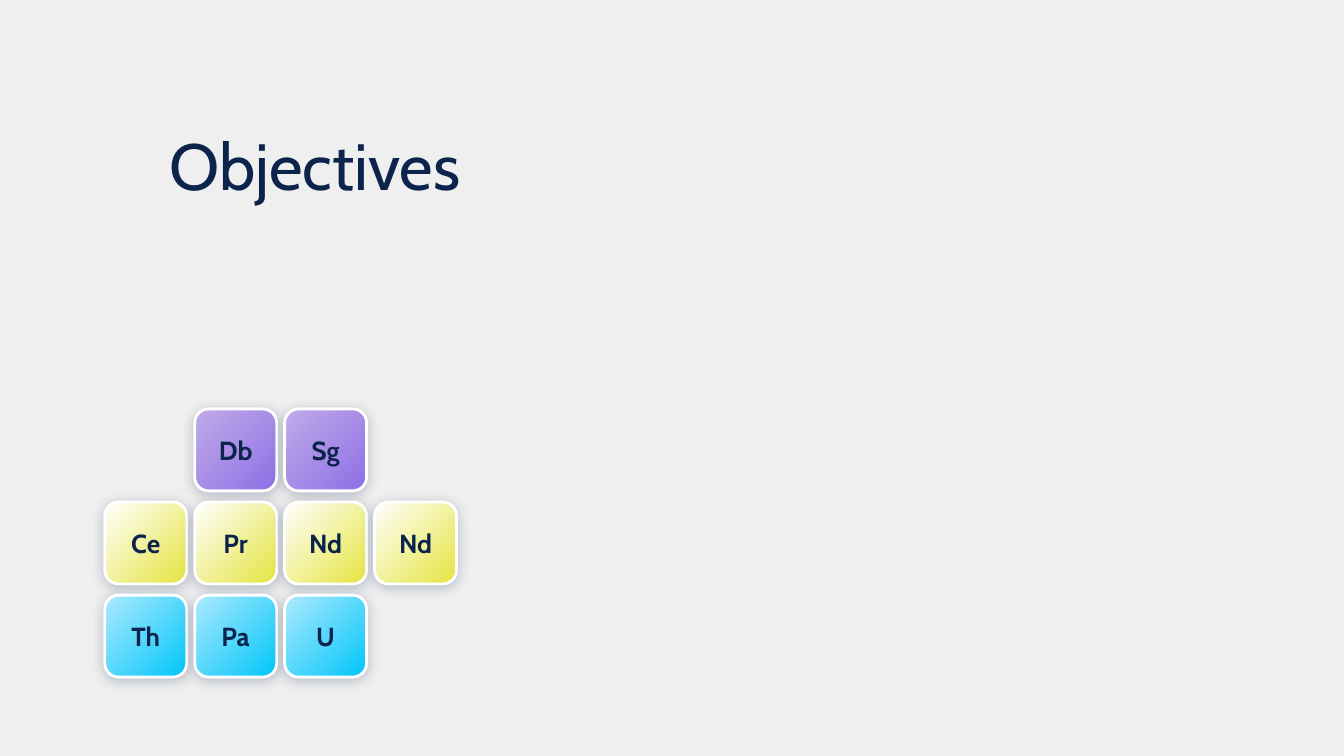
"""Build an objectives slide with a cluster of element tiles."""
from dataclasses import dataclass

from lxml import etree
from pptx import Presentation
from pptx.dml.color import RGBColor
from pptx.enum.shapes import MSO_SHAPE
from pptx.enum.text import MSO_ANCHOR, PP_ALIGN
from pptx.oxml.ns import qn
from pptx.util import Cm, Pt

ROUNDED = MSO_SHAPE.ROUNDED_RECTANGLE
TOP = MSO_ANCHOR.TOP
MIDDLE = MSO_ANCHOR.MIDDLE
LEFT = PP_ALIGN.LEFT
CENTER = PP_ALIGN.CENTER


@dataclass(frozen=True)
class Theme:
    background: str = "EFEFEF"
    ink: str = "0C244C"
    outline: str = "FFFFFF"
    purple: tuple = ("C0ABE8", "8F6FE6")
    yellow: tuple = ("FFFFFF", "E5E440")
    blue: tuple = ("AEEAFF", "00C6F9")
    font: str = "Cabin"
    title_size: int = 35
    symbol_size: int = 14


THEME = Theme()
TILE_SIZE = 1.55
GRID_LEFT, GRID_TOP = 1.98, 7.73
COLUMN_STEP, ROW_STEP = 1.7, 1.76
TILE_ROWS = [
    (1, ["Db", "Sg"], THEME.purple),
    (0, ["Ce", "Pr", "Nd", "Nd"], THEME.yellow),
    (0, ["Th", "Pa", "U"], THEME.blue),
]


def set_text(shape, text, size, bold, alignment, anchor):
    text_frame = shape.text_frame
    text_frame.text = text
    text_frame.word_wrap = True
    text_frame.vertical_anchor = anchor
    text_frame.margin_left = text_frame.margin_right = Cm(0.25)
    text_frame.margin_top = text_frame.margin_bottom = Cm(0.25)
    paragraph = text_frame.paragraphs[0]
    paragraph.alignment = alignment
    font = paragraph.runs[0].font
    font.name = THEME.font
    font.size = Pt(size)
    font.bold = bold
    font.color.rgb = RGBColor.from_string(THEME.ink)


def add_soft_shadow(shape):
    shape.shadow.inherit = False
    effects = shape._element.spPr.find(qn("a:effectLst"))
    shadow = etree.SubElement(
        effects, qn("a:outerShdw"), blurRad=str(Pt(6.8)), dist=str(Pt(1.5)),
        dir=str(85 * 60000), algn="bl", rotWithShape="0")
    color = etree.SubElement(shadow, qn("a:srgbClr"), val=THEME.ink)
    etree.SubElement(color, qn("a:alpha"), val="25000")


def add_title(slide, text):
    title = slide.shapes.add_textbox(Cm(2.95), Cm(2.11), Cm(8.28), Cm(3.48))
    set_text(title, text, THEME.title_size, False, LEFT, TOP)


def add_tile(slide, symbol, column, row, colors):
    tile = slide.shapes.add_shape(
        ROUNDED, Cm(GRID_LEFT + column * COLUMN_STEP),
        Cm(GRID_TOP + row * ROW_STEP), Cm(TILE_SIZE), Cm(TILE_SIZE))
    tile.adjustments[0] = 0.17
    tile.fill.gradient()
    tile.fill.gradient_angle = 315
    for stop, color in zip(tile.fill.gradient_stops, colors):
        stop.color.rgb = RGBColor.from_string(color)
    tile.line.color.rgb = RGBColor.from_string(THEME.outline)
    tile.line.width = Pt(1.5)
    add_soft_shadow(tile)
    set_text(tile, symbol, THEME.symbol_size, True, CENTER, MIDDLE)


def main():
    presentation = Presentation()
    presentation.slide_width = Cm(25.4)
    presentation.slide_height = Cm(14.29)
    slide = presentation.slides.add_slide(presentation.slide_layouts[6])
    background = slide.background.fill
    background.solid()
    background.fore_color.rgb = RGBColor.from_string(THEME.background)

    add_title(slide, "Objectives")
    for row, (first_column, symbols, colors) in enumerate(TILE_ROWS):
        for column, symbol in enumerate(symbols, first_column):
            add_tile(slide, symbol, column, row, colors)
    presentation.save("out.pptx")


if __name__ == "__main__":
    main()
